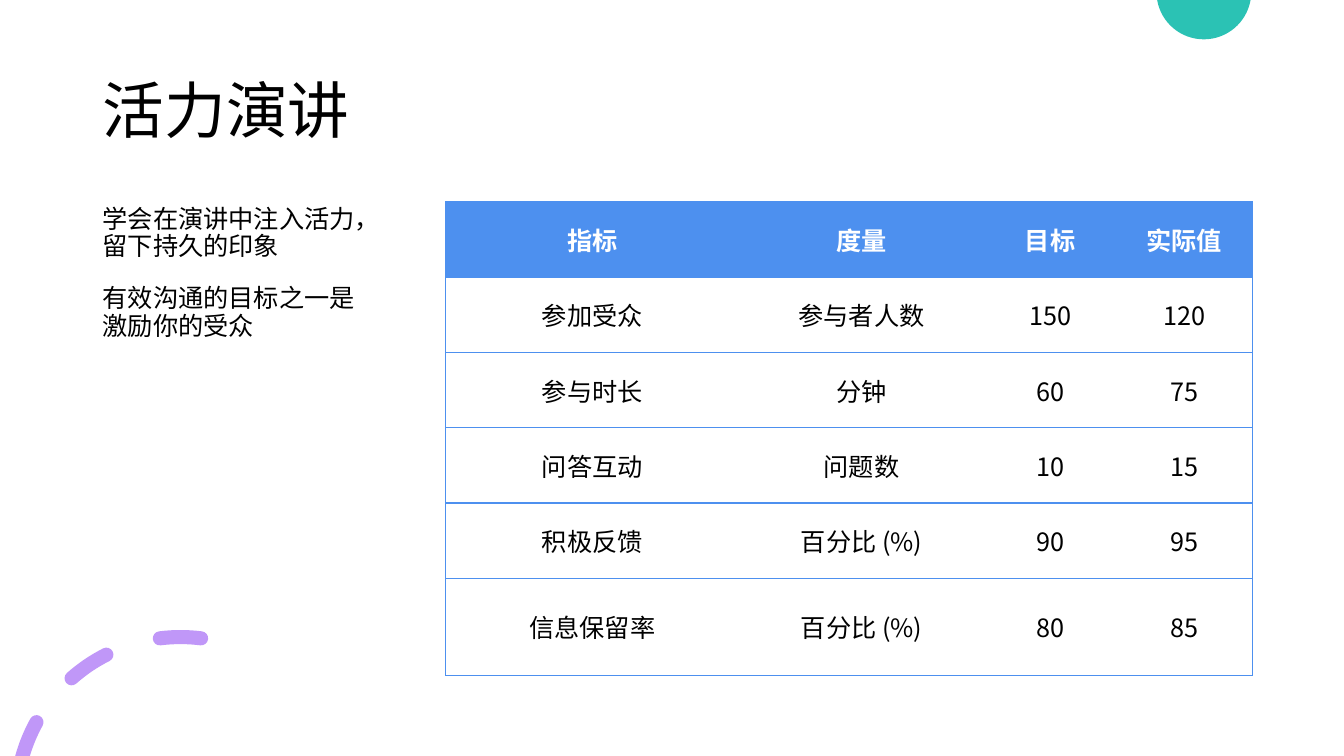
from dataclasses import dataclass
from math import acos, cos, degrees, radians, sin, tan

from lxml.etree import SubElement
from pptx import Presentation
from pptx.dml.color import RGBColor as RGB
from pptx.enum.text import MSO_ANCHOR as Anchor, MSO_AUTO_SIZE as AutoSize, PP_ALIGN as Align
from pptx.oxml.ns import qn
from pptx.util import Inches, Pt

TITLE = "活力演讲"
POINTS = ["学会在演讲中注入活力，留下持久的印象", "有效沟通的目标之一是激励你的受众"]
METRICS = [
    ("指标", "度量", "目标", "实际值"),
    ("参加受众", "参与者人数", "150", "120"),
    ("参与时长", "分钟", "60", "75"),
    ("问答互动", "问题数", "10", "15"),
    ("积极反馈", "百分比 (%)", "90", "95"),
    ("信息保留率", "百分比 (%)", "80", "85"),
]


@dataclass(frozen=True)
class Theme:
    font: str = "Noto Sans CJK SC"
    ink: str = "000000"
    paper: str = "FFFFFF"
    blue: str = "4D90EF"
    teal: str = "2BC2B4"
    purple: str = "C097F8"
    title_size: int = 44
    text_size: int = 18


THEME = Theme()
SLIDE_W, SLIDE_H = 13.33, 7.5
LEFT, CONTENT_TOP, CONTENT_H = 0.92, 2, 4.7
TABLE_LEFT, TABLE_W = 4.42, 8
COLUMN_WIDTHS = [2.91, 2.43, 1.31]
COLUMN_WIDTHS.append(TABLE_W - sum(COLUMN_WIDTHS))
LAST_ROW_H = 0.96
ROW_HEIGHTS = [(CONTENT_H - LAST_ROW_H) / 5] * 5 + [LAST_ROW_H]

# Circles: centre x, centre y, radius; angles run clockwise from the top
TEAL_DISC = (11.94, -0.08, 0.47)
RING = (1.79, 7.95, 1.63)
RING_HALF_WIDTH = 0.07
DASHES = [(-90, -61.2), (-41.5, -26.8), (-7.2, 7.2)]


def polar(x, y, radius, angle):
    return x + radius * sin(radians(angle)), y - radius * cos(radians(angle))


def arc(x, y, radius, start, end):
    """Two Bezier curves, each given as (control, control, end point)."""
    half = (end - start) / 2
    reach = 4 / 3 * tan(radians(half) / 4) * radius
    curves = []
    for a, b in ((start, start + half), (start + half, end)):
        (ax, ay), (bx, by) = polar(x, y, radius, a), polar(x, y, radius, b)
        curves.append((
            (ax + reach * cos(radians(a)), ay + reach * sin(radians(a))),
            (bx - reach * cos(radians(b)), by - reach * sin(radians(b))),
            (bx, by)))
    return curves


def dash_outline(start, end):
    """Start point and curves of a round-ended ring segment, cut at the slide's bottom edge."""
    x, y, radius = RING
    outer, inner = radius + RING_HALF_WIDTH, radius - RING_HALF_WIDTH
    outer_start, inner_start = (
        max(start, -degrees(acos((y - SLIDE_H) / r))) for r in (outer, inner))
    curves = arc(x, y, outer, outer_start, end)
    curves += arc(*polar(x, y, radius, end), RING_HALF_WIDTH, end, end + 180)
    curves += arc(x, y, inner, end, inner_start)
    if start == inner_start:
        curves += arc(*polar(x, y, radius, start), RING_HALF_WIDTH, start + 180, start + 360)
    return polar(x, y, outer, outer_start), curves


def disc_outline():
    """Start point and curves of the disc's part below the slide's top edge."""
    x, y, radius = TEAL_DISC
    edge = degrees(acos(y / radius))
    return polar(x, y, radius, edge), arc(x, y, radius, edge, 360 - edge)


def emu(point):
    return tuple(Inches(value) for value in point)


def draw_outlines(slide, outlines, color):
    builder = slide.shapes.build_freeform(*emu(outlines[0][0]))
    for number, (start, curves) in enumerate(outlines):
        if number:
            builder.move_to(*emu(start))
        builder.add_line_segments([emu(curve[-1]) for curve in curves], close=True)
    decoration = builder.convert_to_shape()
    bend(decoration, [curve for _, curves in outlines for curve in curves])
    decoration.shadow.inherit = False
    decoration.fill.solid()
    decoration.fill.fore_color.rgb = RGB.from_string(color)
    decoration.line.fill.background()


def bend(decoration, curves):
    """Turn each straight segment into its Bezier curve."""
    for segment, curve in zip(list(decoration._element.iter(qn("a:lnTo"))), curves):
        segment_path = segment.getparent()
        bezier = SubElement(segment_path, qn("a:cubicBezTo"))
        for x, y in map(emu, curve):
            SubElement(bezier, qn("a:pt"), x=str(x - decoration.left), y=str(y - decoration.top))
        segment_path.replace(segment, bezier)


def apply(target, formats):
    for key, value in formats.items():
        setattr(target, key, value)


def write(paragraph, text, color=THEME.ink, size=THEME.text_size, bold=False, **formats):
    apply(paragraph, formats)
    run = paragraph.add_run()
    run.text = text
    apply(run.font, {"name": THEME.font, "size": Pt(size), "bold": bold})
    run.font.color.rgb = RGB.from_string(color)
    SubElement(run.font._element, qn("a:ea"), typeface=THEME.font)


def add_title(slide):
    title = slide.shapes.title
    apply(title, {"left": Inches(LEFT), "top": Inches(0.4),
                  "width": Inches(11.5), "height": Inches(1.45)})
    apply(title.text_frame, {"vertical_anchor": Anchor.MIDDLE, "auto_size": AutoSize.NONE})
    write(title.text_frame.paragraphs[0], TITLE, size=THEME.title_size,
          alignment=Align.LEFT, line_spacing=0.9)


def add_points(slide):
    frame = slide.shapes.add_textbox(
        Inches(LEFT), Inches(CONTENT_TOP), Inches(2.92), Inches(CONTENT_H)).text_frame
    apply(frame, {"word_wrap": True, "auto_size": AutoSize.NONE})
    for number, point in enumerate(POINTS):
        paragraph = frame.add_paragraph() if number else frame.paragraphs[0]
        write(paragraph, point, line_spacing=0.9, space_before=Pt(10), space_after=Pt(8))


def add_borders(cell, sides):
    properties = cell._tc.get_or_add_tcPr()
    for side in sides:
        border = SubElement(properties, qn(f"a:ln{side}"), w=str(Pt(1)))
        SubElement(SubElement(border, qn("a:solidFill")), qn("a:srgbClr"), val=THEME.blue)


def add_metrics(slide):
    table = slide.shapes.add_table(
        len(METRICS), len(COLUMN_WIDTHS), Inches(TABLE_LEFT), Inches(CONTENT_TOP),
        Inches(TABLE_W), Inches(CONTENT_H)).table
    table.horz_banding = False
    for column, width in zip(table.columns, COLUMN_WIDTHS):
        column.width = Inches(width)
    for row, height in zip(table.rows, ROW_HEIGHTS):
        row.height = Inches(height)
    last = len(COLUMN_WIDTHS) - 1
    for r, metric in enumerate(METRICS):
        header = r == 0
        for c, entry in enumerate(metric):
            cell = table.cell(r, c)
            add_borders(cell, ("L" if c == 0 else "") + ("R" if c == last else "") + "TB")
            cell.fill.solid()
            cell.fill.fore_color.rgb = RGB.from_string(THEME.blue if header else THEME.paper)
            cell.vertical_anchor = Anchor.MIDDLE
            write(cell.text_frame.paragraphs[0], entry, bold=header, alignment=Align.CENTER,
                  color=THEME.paper if header else THEME.ink)
    # "No Style, No Grid" keeps the inner vertical lines away
    table._tbl.tblPr.find(qn("a:tableStyleId")).text = "{2D5ABB26-0587-4C30-8999-92F81FD0307C}"


def main():
    deck = Presentation()
    apply(deck, {"slide_width": Inches(SLIDE_W), "slide_height": Inches(SLIDE_H)})
    slide = deck.slides.add_slide(deck.slide_layouts[5])
    draw_outlines(slide, [dash_outline(*dash) for dash in DASHES], THEME.purple)
    draw_outlines(slide, [disc_outline()], THEME.teal)
    add_title(slide)
    add_points(slide)
    add_metrics(slide)
    deck.save("out.pptx")


if __name__ == "__main__":
    main()
